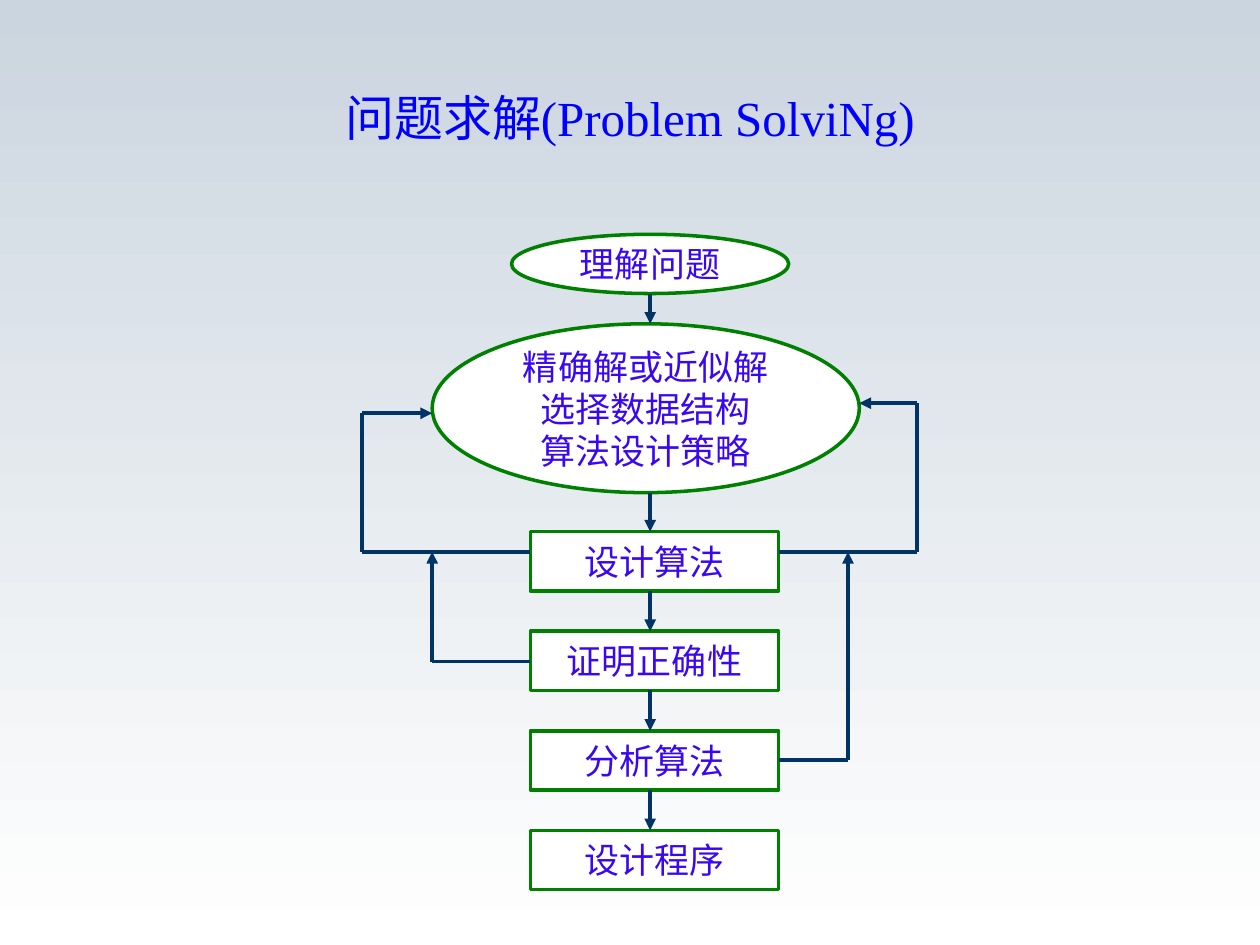
from dataclasses import dataclass

from lxml import etree
from pptx import Presentation
from pptx.dml.color import RGBColor
from pptx.enum import shapes, text
from pptx.oxml import ns
from pptx.util import Inches, Pt


@dataclass(frozen=True)
class Theme:
    background_top: str = "CBD5DF"
    background_bottom: str = "FFFFFF"
    title_color: str = "0000FF"
    title_font: str = "Times New Roman"
    title_size: float = 28
    step_color: str = "3907F1"
    step_font: str = "Arial"
    step_size: float = 20
    step_fill: str = "FFFFFF"
    step_line: str = "008000"
    step_line_width: float = 2
    arrow_color: str = "003366"
    arrow_width: float = 2.25


class FlowSlide:
    def __init__(self, slide, theme):
        self.slide = slide
        self.theme = theme

    def background(self):
        fill = self.slide.background.fill
        fill.gradient()
        fill.gradient_angle = 270
        colors = (self.theme.background_top, self.theme.background_bottom)
        for stop, color in zip(fill.gradient_stops, colors):
            stop.color.rgb = RGBColor.from_string(color)

    def format_text(self, text_frame, font_name, size, color):
        text_frame.vertical_anchor = text.MSO_ANCHOR.MIDDLE
        for paragraph in text_frame.paragraphs:
            paragraph.alignment = text.PP_ALIGN.CENTER
            for run in paragraph.runs:
                run.font.name = font_name
                run.font.size = Pt(size)
                run.font.color.rgb = RGBColor.from_string(color)

    def title(self, words, left, top, width, height):
        shape = self.slide.shapes.title
        shape.left, shape.top = Inches(left), Inches(top)
        shape.width, shape.height = Inches(width), Inches(height)
        shape.text_frame.text = words
        theme = self.theme
        self.format_text(shape.text_frame, theme.title_font, theme.title_size, theme.title_color)

    def step(self, kind, words, left, top, width, height):
        theme = self.theme
        shape = self.slide.shapes.add_shape(
            kind, Inches(left), Inches(top), Inches(width), Inches(height)
        )
        shape.shadow.inherit = False
        shape.fill.solid()
        shape.fill.fore_color.rgb = RGBColor.from_string(theme.step_fill)
        shape.line.color.rgb = RGBColor.from_string(theme.step_line)
        shape.line.width = Pt(theme.step_line_width)
        shape.text_frame.text = words
        shape.text_frame.word_wrap = False
        self.format_text(shape.text_frame, theme.step_font, theme.step_size, theme.step_color)

    def line(self, start, end):
        connector = self.slide.shapes.add_connector(
            shapes.MSO_CONNECTOR.STRAIGHT, *map(Inches, (*start, *end))
        )
        connector.line.color.rgb = RGBColor.from_string(self.theme.arrow_color)
        connector.line.width = Pt(self.theme.arrow_width)
        etree.SubElement(connector._element.spPr, ns.qn("a:effectLst"))
        return connector

    def arrow(self, *points):
        for start, end in zip(points, points[1:]):
            connector = self.line(start, end)
        outline = connector.line._get_or_add_ln()
        etree.SubElement(outline, ns.qn("a:tailEnd"), type="triangle")


def main():
    presentation = Presentation()
    presentation.slide_width, presentation.slide_height = Inches(10), Inches(7.5)
    flow = FlowSlide(presentation.slides.add_slide(presentation.slide_layouts[5]), Theme())
    flow.background()
    flow.title("问题求解(Problem SolviNg)", 0.5, 0.3, 9, 1.25)

    ellipse = shapes.MSO_SHAPE.OVAL
    rectangle = shapes.MSO_SHAPE.RECTANGLE
    step_height = 0.47
    box_left, box_width, box_top, box_pitch = 4.21, 1.97, 4.22, 0.79
    box_right = box_left + box_width
    decision_left, decision_top, decision_width, decision_height = 3.43, 2.57, 3.39, 1.34
    decision_right = decision_left + decision_width
    understand_top = 1.86

    flow.step(ellipse, "理解问题", 4.06, understand_top, 2.2, step_height)
    flow.step(
        ellipse,
        "精确解或近似解\n选择数据结构\n算法设计策略",
        decision_left, decision_top, decision_width, decision_height,
    )
    steps = [
        (understand_top, step_height),
        (decision_top, decision_height),
    ]
    for row, words in enumerate(("设计算法", "证明正确性", "分析算法", "设计程序")):
        top = box_top + row * box_pitch
        flow.step(rectangle, words, box_left, top, box_width, step_height)
        steps.append((top, step_height))

    center = 5.16
    for (top, height), (next_top, _) in zip(steps, steps[1:]):
        flow.arrow((center, top + height), (center, next_top))

    feedback_y, proof_y, analysis_y = 4.38, 5.25, 6.03
    left_x, left_y = 2.87, 3.28
    right_x, right_y = 7.28, 3.2
    analysis_x = 6.73
    flow.arrow(
        (box_left, feedback_y), (left_x, feedback_y), (left_x, left_y), (decision_left, left_y)
    )
    flow.arrow(
        (box_right, feedback_y), (right_x, feedback_y), (right_x, right_y), (decision_right, right_y)
    )
    flow.arrow((box_left, proof_y), (decision_left, proof_y), (decision_left, feedback_y))
    flow.arrow((box_right, analysis_y), (analysis_x, analysis_y), (analysis_x, feedback_y))

    presentation.save("out.pptx")


if __name__ == "__main__":
    main()
